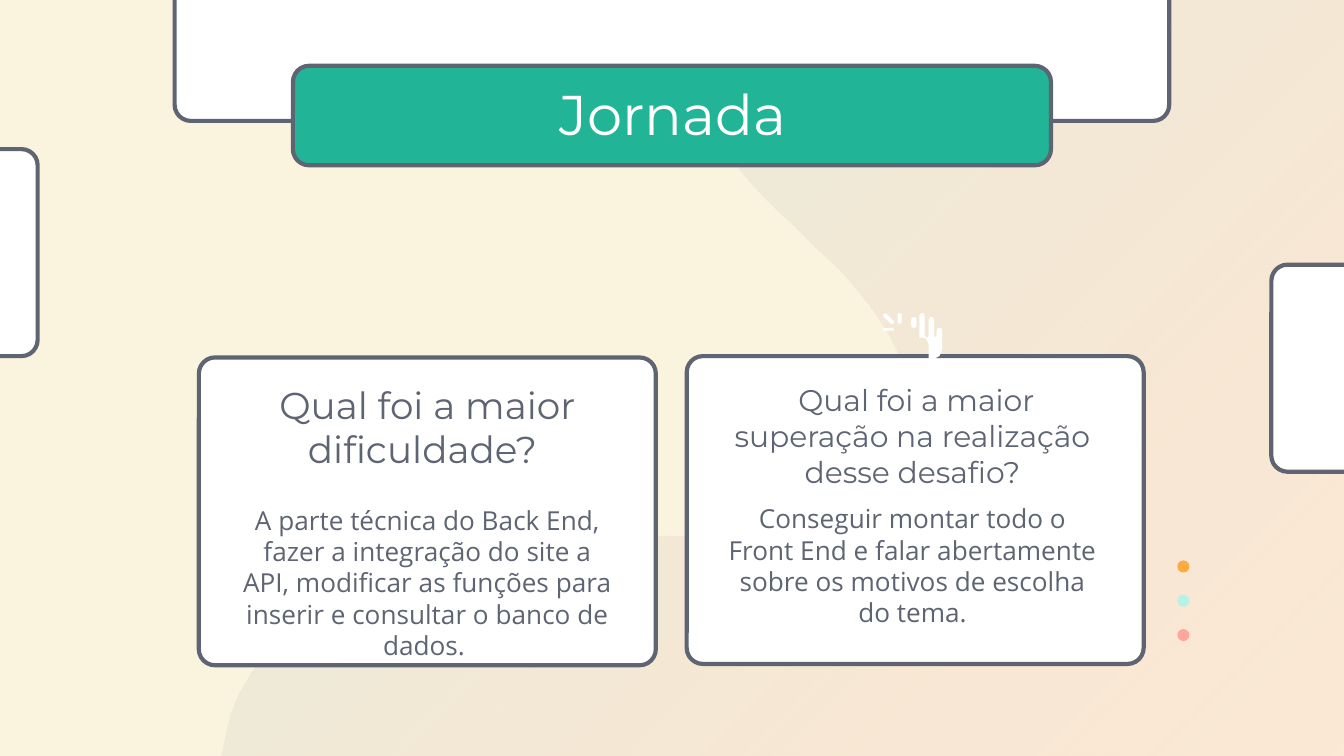
import dataclasses

import pptx
import pptx.dml.color
import pptx.enum.shapes
import pptx.enum.text
import pptx.oxml
import pptx.oxml.ns
import pptx.util

Inches = pptx.util.Inches
SHAPE = pptx.enum.shapes.MSO_SHAPE


@dataclasses.dataclass(frozen=True)
class Theme:
    """Colours, fonts and type sizes of the slide."""
    cream: str = "FAF3DD"
    white: str = "FFFFFF"
    slate: str = "5E6472"
    green: str = "21B496"
    mint: str = "B8F2E6"
    coral: str = "FFA69E"
    orange: str = "FFAA3F"
    heading_font: str = "Montserrat"
    body_font: str = "Open Sans"
    title_size: int = 30
    question_size: int = 20
    long_question_size: int = 16
    body_size: int = 14
    outline: float = 2.25
    corner: float = 0.12


THEME = Theme()
WIDTH = 10
HEIGHT = WIDTH * 9 / 16
UNITS_PER_INCH = 1000

WAVE = [
    (1.65, HEIGHT), (WIDTH, HEIGHT), (WIDTH, -0.03), (5.19, -0.03),
    (5.16, 0.03), (5.13, 0.16), (5.11, 0.3),
    (5.12, 0.44), (5.15, 0.64), (5.2, 0.77), (5.25, 0.9), (5.32, 1.02),
    (5.4, 1.14), (5.49, 1.25), (5.58, 1.36), (5.67, 1.46), (5.77, 1.56),
    (5.88, 1.66), (6.08, 1.86), (6.19, 1.96), (6.29, 2.06), (6.38, 2.17),
    (6.47, 2.28), (6.55, 2.4), (6.62, 2.51), (6.68, 2.64), (6.73, 2.77),
    (6.77, 2.91), (6.79, 3.05), (6.79, 3.2), (6.77, 3.34), (6.73, 3.47),
    (6.67, 3.6), (6.59, 3.71), (6.49, 3.8), (6.4, 3.86), (6.3, 3.9),
    (6.2, 3.94), (6.1, 3.97), (5.89, 3.99), (5.68, 4), (5.46, 4),
    (5.24, 3.99), (4.8, 3.98), (4.14, 3.98), (3.92, 3.99), (3.71, 4.01),
    (3.49, 4.04), (3.27, 4.08), (3.06, 4.14), (2.85, 4.22), (2.65, 4.31),
    (2.47, 4.41), (2.28, 4.54), (2.16, 4.64), (2.05, 4.76), (1.95, 4.89),
    (1.86, 5.02), (1.78, 5.16), (1.72, 5.31), (1.68, 5.47),
]
HAND = [
    (6.84, 2.35), (6.85, 2.33), (6.87, 2.33), (6.88, 2.35), (6.88, 2.5),
    (6.89, 2.51), (6.9, 2.51), (6.91, 2.5), (6.91, 2.38), (6.92, 2.36),
    (6.94, 2.36), (6.95, 2.38), (6.95, 2.5), (6.96, 2.51), (6.97, 2.5),
    (6.97, 2.46), (6.98, 2.44), (7, 2.44), (7.01, 2.45), (7.01, 2.6),
    (6.99, 2.65), (6.95, 2.67), (6.91, 2.67), (6.91, 2.56), (6.89, 2.52),
    (6.86, 2.51), (6.84, 2.52),
]
RAY = [(6.57, 2.34), (6.59, 2.33), (6.65, 2.39), (6.65, 2.41), (6.63, 2.41),
       (6.57, 2.35)]


def colour(code):
    """Turn a hex code into a colour."""
    return pptx.dml.color.RGBColor.from_string(code)


def paint(shape, fill, line=None):
    """Give a shape a flat fill and an optional outline, without a shadow."""
    shape.shadow.inherit = False
    shape.fill.solid()
    shape.fill.fore_color.rgb = colour(fill)
    if line:
        shape.line.color.rgb = colour(line)
        shape.line.width = pptx.util.Pt(THEME.outline)
    else:
        shape.line.fill.background()


def add_preset(shapes, kind, left, top, width, height, fill, line=None):
    """Add a painted preset shape."""
    shape = shapes.add_shape(kind, Inches(left), Inches(top), Inches(width), Inches(height))
    paint(shape, fill, line)
    return shape


def add_panel(page, left, top, width, height, fill=THEME.white):
    """Add an outlined panel; all panels share one corner radius."""
    panel = add_preset(page.shapes, SHAPE.ROUNDED_RECTANGLE, left, top, width, height,
                       fill, THEME.slate)
    panel.adjustments[0] = THEME.corner / min(width, height)


def add_outline(shapes, points, fill):
    """Add a closed polygon through points given in inches."""
    units = [(x * UNITS_PER_INCH, y * UNITS_PER_INCH) for x, y in points]
    builder = shapes.build_freeform(*units[0], scale=Inches(1) / UNITS_PER_INCH)
    builder.add_line_segments(units[1:], close=True)
    shape = builder.convert_to_shape()
    paint(shape, fill)
    return shape


def add_wave(page):
    """Add the background wave with its translucent diagonal gradient."""
    wave = add_outline(page.shapes, WAVE, THEME.mint)
    wave.fill.gradient()
    wave.fill.gradient_angle = 315
    stops = zip(wave.fill.gradient_stops, (THEME.mint, THEME.coral), (0, 1))
    for stop, code, position in stops:
        stop.color.rgb = colour(code)
        stop.position = position
    tag = pptx.oxml.ns.qn("a:srgbClr")
    for node, opacity in zip(wave.element.spPr.iter(tag), (38, 13)):
        alpha = pptx.oxml.parse_xml(
            f'<a:alpha {pptx.oxml.ns.nsdecls("a")} val="{opacity * 1000}"/>')
        node.append(alpha)


def add_text(page, text, left, top, width, height, *, size, font=THEME.heading_font,
             ink=THEME.slate):
    """Add centred text that starts at the top of its box."""
    box = page.shapes.add_textbox(Inches(left), Inches(top), Inches(width), Inches(height))
    frame = box.text_frame
    frame.word_wrap = True
    frame.vertical_anchor = pptx.enum.text.MSO_ANCHOR.TOP
    frame.margin_left = frame.margin_right = Inches(0.1)
    frame.margin_top = frame.margin_bottom = Inches(0.1)
    para = frame.paragraphs[0]
    para.alignment = pptx.enum.text.PP_ALIGN.CENTER
    span = para.add_run()
    span.text = text
    span.font.name = font
    span.font.size = pptx.util.Pt(size)
    span.font.color.rgb = colour(ink)


def add_answer(page, left, top, question, question_size, answer):
    """Add the question and answer texts of one card."""
    add_text(page, question, left, 2.74, 2.98, 0.61, size=question_size)
    add_text(page, answer, left, top, 2.98, 1.07, size=THEME.body_size,
             font=THEME.body_font)


def add_snap_icon(page):
    """Add the white hand with its rays."""
    icon = page.shapes.add_group_shape().shapes
    for points in (RAY, HAND):
        add_outline(icon, points, THEME.white)
    for place in ((6.68, 2.33, 0.03, 0.08), (6.57, 2.44, 0.08, 0.02), (6.78, 2.36, 0.04, 0.08)):
        bar = add_preset(icon, SHAPE.ROUNDED_RECTANGLE, *place, THEME.white)
        bar.adjustments[0] = 0.5


def add_dots(page):
    """Add the column of three coloured dots."""
    dots = page.shapes.add_group_shape().shapes
    for row, fill in enumerate((THEME.orange, THEME.mint, THEME.coral)):
        add_preset(dots, SHAPE.OVAL, 8.76, 4.17 + 0.255 * row, 0.09, 0.09, fill)


def main():
    """Build the slide and save it."""
    deck = pptx.Presentation()
    deck.slide_width, deck.slide_height = Inches(WIDTH), Inches(HEIGHT)
    page = deck.slides.add_slide(deck.slide_layouts[6])
    page.background.fill.solid()
    page.background.fill.fore_color.rgb = colour(THEME.cream)

    add_wave(page)
    add_panel(page, 1.3, -0.63, 7.4, 1.53)
    add_panel(page, -1.22, 1.11, 1.5, 1.54)
    add_panel(page, 9.46, 1.97, 1.5, 1.54)
    add_panel(page, 5.11, 2.65, 3.4, 2.29)
    add_panel(page, 2.18, 0.49, 5.64, 0.74, THEME.green)
    add_panel(page, 1.48, 2.66, 3.4, 2.29)

    add_text(page, "Jornada", 0.79, 0.49, 8.43, 0.63, size=THEME.title_size, ink=THEME.white)
    add_answer(page, 1.69, 3.65, "Qual foi a maior dificuldade?\u00a0", THEME.question_size,
               "A parte técnica do Back End, fazer a integração do site a API, modificar as "
               "funções para inserir e consultar o banco de dados.\u00a0")
    add_answer(page, 5.3, 3.64,
               "\u00a0Qual foi a maior superação na realização desse desafio?",
               THEME.long_question_size,
               "Conseguir montar todo o Front End e falar abertamente sobre os motivos de "
               "escolha do tema.")
    add_snap_icon(page)
    add_dots(page)
    deck.save("out.pptx")


main()
